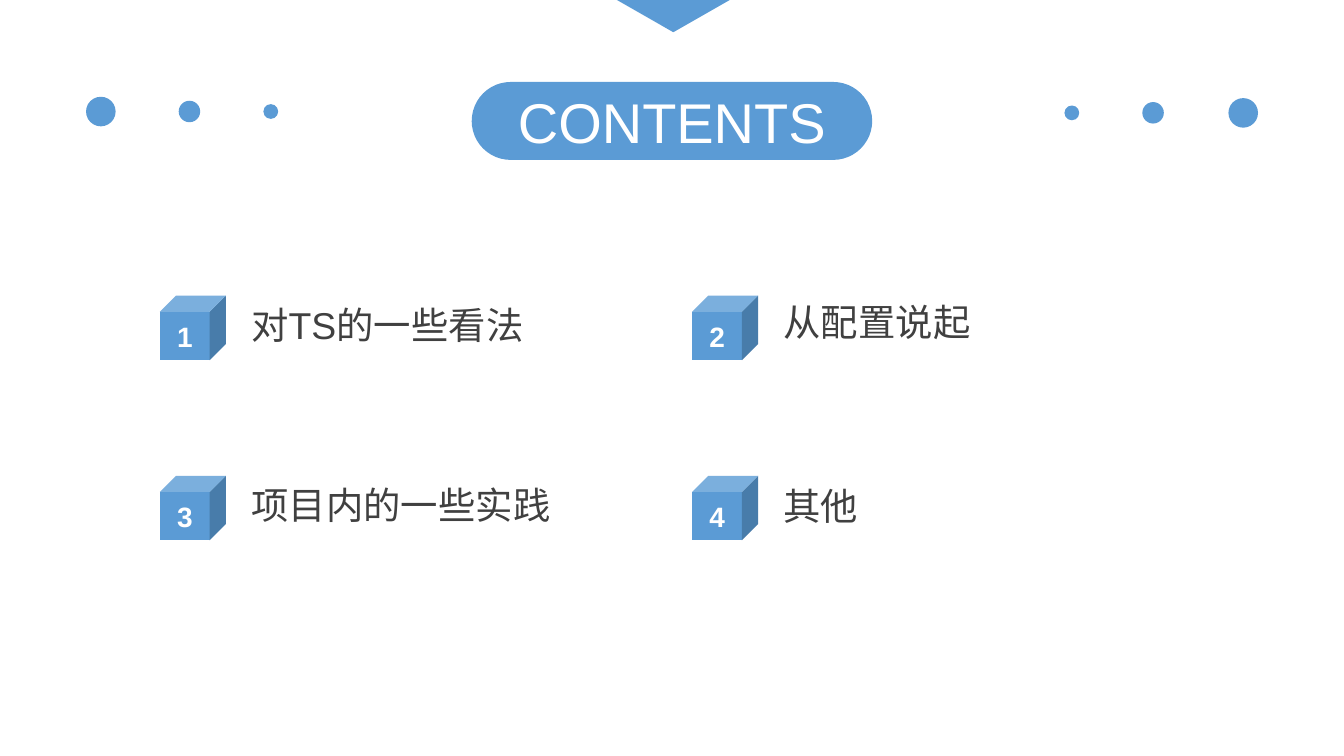
import pptx
import pptx.util
import pptx.dml.color
import pptx.enum.shapes
import pptx.enum.text
from dataclasses import dataclass

Inches = pptx.util.Inches
SHAPE = pptx.enum.shapes.MSO_SHAPE
ALIGN = pptx.enum.text.PP_ALIGN

TITLE = "CONTENTS"
CHAPTERS = [
    ("对TS的一些看法", 2.17),
    ("从配置说起", 2.15),
    ("项目内的一些实践", 3.51),
    ("其他", 3.52),
]
COLUMNS = [(1.19, 1.87, 2.9), (5.15, 5.83, 3.19)]
CUBE_TOPS = [2.2, 3.54]
DOT_SIZES = [0.22, 0.16, 0.11]
DOT_GROUPS = [([0.64, 1.33, 1.96], 0.83), ([9.14, 8.5, 7.92], 0.84)]
PILL = (3.51, 0.61, 2.98, 0.58)
POINTER = [(4.59, 0), (5.43, 0), (5.01, 0.24)]


@dataclass(frozen=True)
class Theme:
    accent: str = "5B9BD5"
    body: str = "404040"
    light: str = "FFFFFF"
    font: str = "Arial"
    title_size: int = 30
    body_size: int = 20
    number_size: int = 15


theme = Theme()


def rgb(value):
    return pptx.dml.color.RGBColor.from_string(value)


def write(sp, text, *, size, color, bold=False, align=ALIGN.LEFT, spacing=1.0, inset=0):
    tf = sp.text_frame
    tf.word_wrap = True
    tf.auto_size = pptx.enum.text.MSO_AUTO_SIZE.NONE
    tf.vertical_anchor = pptx.enum.text.MSO_ANCHOR.MIDDLE
    tf.margin_left = tf.margin_right = Inches(inset)
    tf.margin_top = tf.margin_bottom = 0
    p = tf.paragraphs[0]
    p.alignment = align
    p.line_spacing = spacing
    r = p.add_run()
    r.text = text
    r.font.name = theme.font
    r.font.size = pptx.util.Pt(size)
    r.font.bold = bold
    r.font.color.rgb = rgb(color)


def paint(sp):
    sp.shadow.inherit = False
    sp.fill.solid()
    sp.fill.fore_color.rgb = rgb(theme.accent)
    sp.line.fill.background()
    return sp


def add_shape(kind, *box):
    return paint(s.shapes.add_shape(kind, *map(Inches, box)))


prs = pptx.Presentation()
prs.slide_width = Inches(10)
prs.slide_height = prs.slide_width * 9 // 16
s = prs.slides.add_slide(prs.slide_layouts[5])

for lefts, middle in DOT_GROUPS:
    for left, size in zip(lefts, DOT_SIZES):
        add_shape(SHAPE.OVAL, left, middle - size / 2, size, size)

for i, (text, text_top) in enumerate(CHAPTERS):
    row, col = divmod(i, len(COLUMNS))
    cube_left, text_left, text_width = COLUMNS[col]
    cube = add_shape(SHAPE.CUBE, cube_left, CUBE_TOPS[row], 0.49, 0.48)
    write(cube, str(i + 1), size=theme.number_size, color=theme.light, bold=True, align=ALIGN.CENTER)
    box = s.shapes.add_textbox(*map(Inches, (text_left, text_top, text_width, 0.53)))
    write(box, text, size=theme.body_size, color=theme.body, spacing=0.9)

pill = add_shape(SHAPE.ROUNDED_RECTANGLE, *PILL)
pill.adjustments[0] = 0.5
title = s.shapes.title
title.left, title.top, title.width, title.height = map(Inches, PILL)
s.shapes._spTree.append(title._element)
write(title, TITLE, size=theme.title_size, color=theme.light, align=ALIGN.CENTER, inset=0.1)

points = [(Inches(x), Inches(y)) for x, y in POINTER]
fb = s.shapes.build_freeform(*points[0])
fb.add_line_segments(points[1:], close=True)
paint(fb.convert_to_shape())

prs.save("out.pptx")
